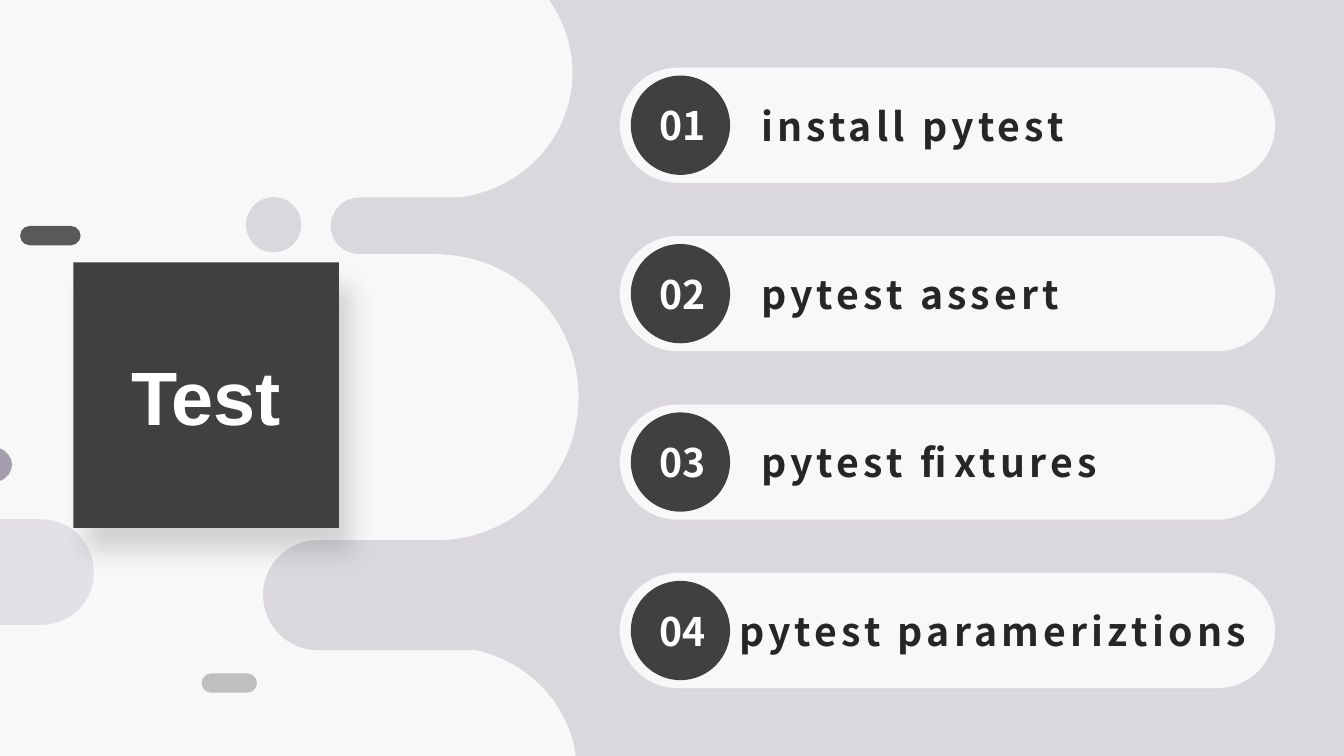
from pptx import Presentation
from pptx.dml.color import RGBColor
from pptx.enum.shapes import MSO_SHAPE as SHAPE
from pptx.enum.text import MSO_ANCHOR as ANCHOR, PP_ALIGN as ALIGN
from pptx.oxml import parse_xml
from pptx.oxml.ns import nsdecls, qn
from pptx.util import Pt
from lxml import etree

PAPER = RGBColor(0xF8, 0xF8, 0xF8)
MAUVE = RGBColor(0xA5, 0x9F, 0xAD)
CHARCOAL = RGBColor(0x40, 0x40, 0x40)
DARK_GRAY = RGBColor(0x59, 0x59, 0x59)
LIGHT_GRAY = RGBColor(0xBF, 0xBF, 0xBF)
INK = RGBColor(0x26, 0x26, 0x26)
WHITE = RGBColor(0xFF, 0xFF, 0xFF)
BODY_FONT = "Noto Sans CJK SC"

# Two numbers are a line to a point, six are a cubic curve.
WAVE = [
    (392.4, 0), (941.8, 0), (960, 0), (960, 540), (411, 540), (411, 537),
    (404.6, 501.1, 376.6, 472.3, 339.8, 464.4), (337, 464.4), (226.8, 464.4),
    (205.2, 464.4, 187.9, 446.4, 187.9, 424.8),
    (187.9, 403.9, 205.2, 385.9, 226.8, 385.9), (229.7, 385.9), (311.8, 385.9),
    (367.9, 385.9, 413.3, 339.8, 413.3, 283.7),
    (413.3, 231.1, 373.7, 187.2, 321.8, 182.2), (311.8, 181.4), (256.3, 181.4),
    (245.5, 181.4, 236.2, 172.8, 236.2, 161.3),
    (236.2, 150.5, 245.5, 141.1, 256.3, 141.1), (265.7, 141.1), (321.8, 141.1),
    (329, 141.1, 335.5, 140.4, 342, 138.2), (344.2, 137.5), (346.3, 136.8),
    (382.3, 125.3, 409, 91.4, 409, 51.8),
    (409, 32.4, 402.5, 15.1, 392.4, 0),
]
EDGE_DOT = [
    (0, 320.4), (0.7, 320.4), (5, 322.6, 8.6, 326.9, 8.6, 331.9),
    (8.6, 337, 5, 341.3, 0.7, 343.4), (0, 343.4),
]
EDGE_TAB = [
    (0, 370.8), (28.8, 370.8), (50.4, 370.8, 67, 387.4, 67, 409),
    (67, 429.8, 50.4, 446.4, 28.8, 446.4), (0, 446.4),
]


def paint(shape, color, opacity=100):
    shape.shadow.inherit = False
    shape.fill.solid()
    shape.fill.fore_color.rgb = color
    shape.line.fill.background()
    if opacity < 100:
        srgb = shape._element.spPr.find(".//" + qn("a:srgbClr"))
        etree.SubElement(srgb, qn("a:alpha")).set("val", str(opacity * 1000))


def write(shape, text, size, font, color, align, inset=0):
    """Put one bold, vertically centred line into the shape and return its run."""
    frame = shape.text_frame
    frame.text = text
    frame.vertical_anchor = ANCHOR.MIDDLE
    frame.margin_left = Pt(inset)
    frame.margin_top = frame.margin_right = frame.margin_bottom = 0
    frame.paragraphs[0].alignment = align
    run = frame.paragraphs[0].runs[0]
    run.font.size = Pt(size)
    run.font.name = font
    run.font.bold = True
    run.font.color.rgb = color
    return run


prs = Presentation()
prs.slide_width, prs.slide_height = Pt(960), Pt(540)
slide = prs.slides.add_slide(prs.slide_layouts[6])
slide.background.fill.solid()
slide.background.fill.fore_color.rgb = PAPER
shapes = slide.shapes

# Curved background: each curve's three points are first drawn as lines, then merged
for outline, opacity in ((WAVE, 35), (EDGE_DOT, 100), (EDGE_TAB, 25)):
    start_x, start_y = outline[0]
    builder = shapes.build_freeform(Pt(start_x), Pt(start_y))
    builder.add_line_segments(
        [(Pt(segment[i]), Pt(segment[i + 1]))
         for segment in outline[1:] for i in range(0, len(segment), 2)], close=True)
    blob = builder.convert_to_shape()
    paint(blob, MAUVE, opacity)
    lines = iter(list(blob._element.spPr.iter(qn("a:lnTo"))))
    for segment in outline[1:]:
        line = next(lines)
        if len(segment) == 6:
            line.addprevious(curve := etree.Element(qn("a:cubicBezTo")))
            for part in (line, next(lines), next(lines)):
                curve.append(part[0])
                part.getparent().remove(part)

bubble = shapes.add_shape(SHAPE.OVAL, Pt(175.7), Pt(140.8), Pt(39.5), Pt(39.5))
paint(bubble, MAUVE, 35)

for left, top, width, color in ((14.4, 161.4, 43.2, DARK_GRAY), (144, 481, 39.6, LIGHT_GRAY)):
    dash = shapes.add_shape(SHAPE.ROUNDED_RECTANGLE, Pt(left), Pt(top), Pt(width), Pt(13.8))
    dash.adjustments[0] = 0.5
    paint(dash, color)

# Title block
title = shapes.add_shape(SHAPE.RECTANGLE, Pt(52.4), Pt(187.4), Pt(189.6), Pt(189.6))
paint(title, CHARCOAL)
write(title, "Test", 54, "Arial", WHITE, ALIGN.CENTER)
title._element.spPr.find(qn("a:effectLst")).append(parse_xml(
    f'<a:outerShdw {nsdecls("a")} blurRad="{Pt(18)}" dist="{Pt(19)}" dir="3780000" '
    'algn="ctr" rotWithShape="0"><a:srgbClr val="000000"><a:alpha val="15000"/>'
    '</a:srgbClr></a:outerShdw>'))

# Agenda
TOPICS = [
    ("install pytest", 543.8),
    ("pytest assert", 543.8),
    ("pytest fixtures", 543.8),
    ("pytest parameriztions", 528),
]
for index, (topic, topic_left) in enumerate(TOPICS):
    top = 48.4 + index * 120.3
    pill = shapes.add_shape(SHAPE.ROUNDED_RECTANGLE, Pt(442.8), Pt(top), Pt(468), Pt(82.2))
    pill.adjustments[0] = 0.5
    paint(pill, PAPER)

    badge = shapes.add_shape(SHAPE.OVAL, Pt(450.6), Pt(top + 5.6), Pt(70.9), Pt(70.9))
    paint(badge, CHARCOAL)
    write(badge, f"{index + 1:02}", 28, BODY_FONT, WHITE, ALIGN.CENTER, inset=3)
    badge.text_frame.word_wrap = False

    label = shapes.add_textbox(Pt(topic_left), Pt(top + 21.4), Pt(893.6 - topic_left), Pt(39.6))
    label.text_frame.word_wrap = True
    run = write(label, topic, 28, BODY_FONT, INK, ALIGN.LEFT)
    run._r.get_or_add_rPr().set("spc", "300")

prs.save("out.pptx")
